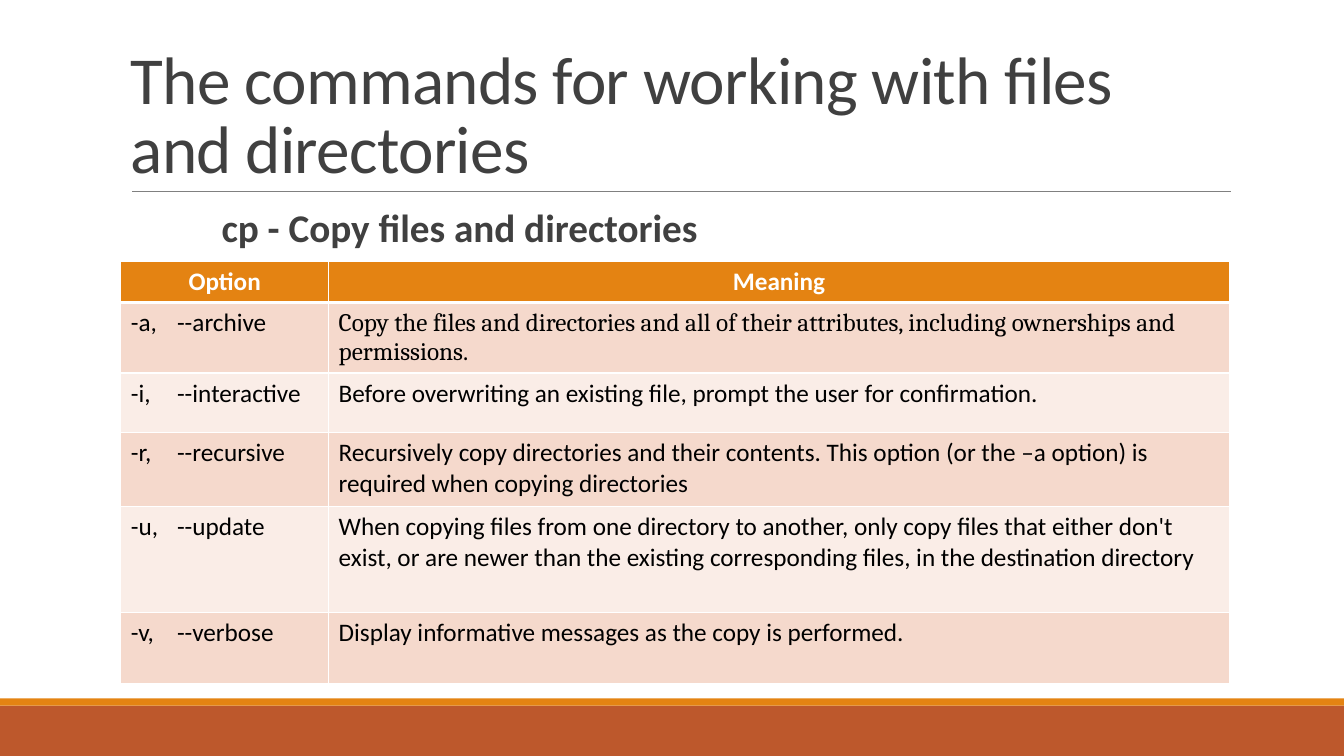
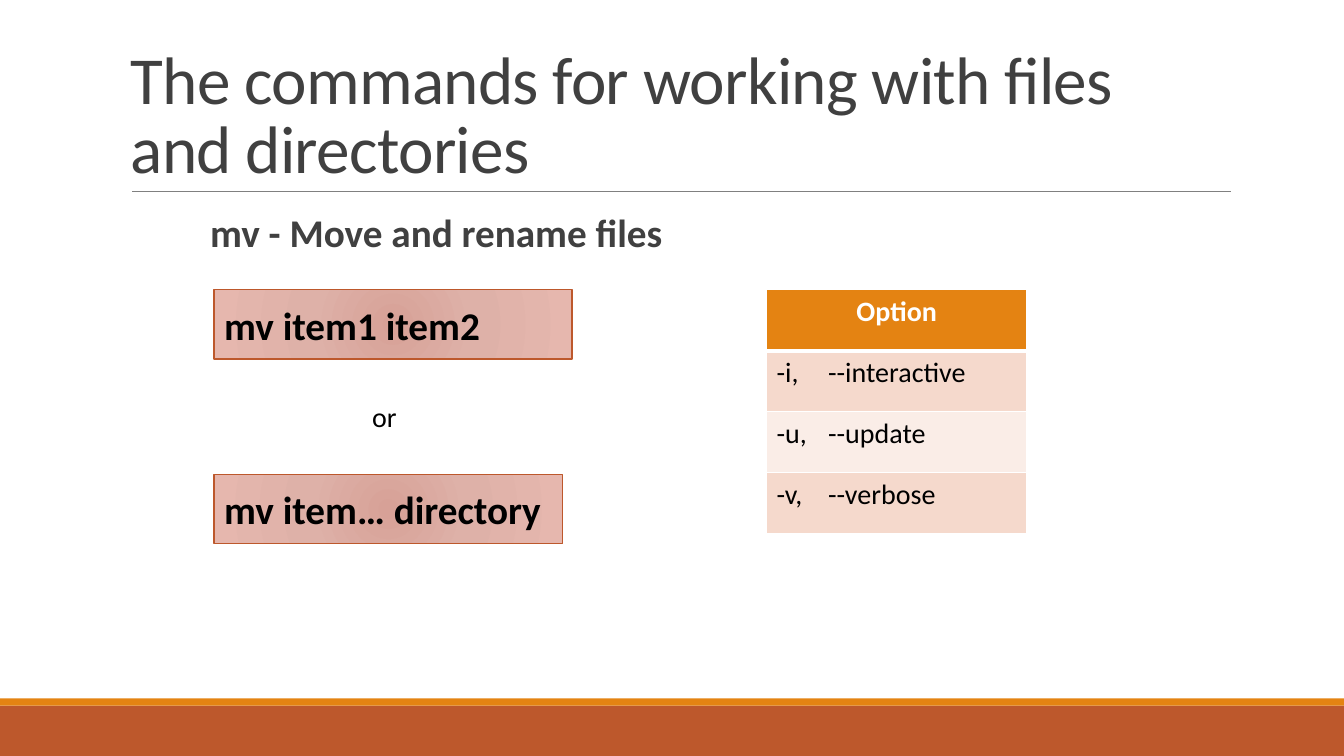
"""Build two slides on the cp and mv commands."""
from lxml.etree import SubElement
from pptx import Presentation
from pptx.dml.color import RGBColor as RGB
from pptx.enum.shapes import MSO_CONNECTOR as LINK, MSO_SHAPE as SHAPE
from pptx.enum.text import MSO_ANCHOR as ANCHOR, PP_ALIGN as ALIGN
from pptx.oxml import parse_xml
from pptx.oxml.ns import nsdecls, qn
from pptx.util import Pt

PX = 9525
FONT = "Calibri"
RUST = RGB(0xBD, 0x58, 0x2C)
AMBER = RGB(0xE4, 0x83, 0x12)
GRAY = RGB(0x80, 0x80, 0x80)
DARK = RGB(0x40, 0x40, 0x40)
BLACK = RGB(0, 0, 0)
WHITE = RGB(0xFF, 0xFF, 0xFF)
PEACH = RGB(0xF5, 0xD9, 0xCC)
PALE = RGB(0xFA, 0xED, 0xE7)
GLOW = [(0, "D7A197"), (45, "DEB1A8"), (100, "E6B7AE")]
TITLE = "The commands for working with files and directories"


def write(owner, text, size, color, bold=False, align=ALIGN.LEFT):
    frame = owner.text_frame
    frame.word_wrap = True
    para = frame.paragraphs[0]
    para.alignment = align
    para.add_run().text = text
    font = para.font
    font.name, font.size, font.bold = FONT, Pt(size), bold
    font.color.rgb = color
    return para


def place(*sides):
    return [side * PX for side in sides]


deck = Presentation()
deck.slide_width, deck.slide_height = place(1280, 720)

pages = [
    {
        "head": "cp - Copy files and directories",
        "body": (115, 194, 1056, 422),
        "at": (115, 249),
        "cols": [198, 858],
        "rows": [39, 66, 57, 70, 101, 68],
        "size": 18,
        "tab": 44,
        "cells": [
            ("Option", "Meaning"),
            ("-a,\t--archive", "Copy the files and directories and all of their "
             "attributes, including ownerships and permissions."),
            ("-i,\t--interactive", "Before overwriting an existing file, prompt "
             "the user for confirmation."),
            ("-r,\t--recursive", "Recursively copy directories and their contents. "
             "This option (or the –a option) is required when copying directories"),
            ("-u,\t--update", "When copying files from one directory to another, "
             "only copy files that either don't exist, or are newer than the "
             "existing corresponding files, in the destination directory"),
            ("-v,\t--verbose", "Display informative messages as the copy is "
             "performed."),
        ],
    },
    {
        "head": "mv - Move and rename files",
        "body": (104, 199, 1067, 417),
        "at": (730, 276),
        "cols": [248],
        "rows": [58] * 4,
        "size": 20,
        "tab": 49,
        "cells": [("Option",), ("-i,\t--interactive",), ("-u,\t--update",),
                  ("-v,\t--verbose",)],
    },
]

grids = []
for page in pages:
    slide = deck.slides.add_slide(deck.slide_layouts[6])
    shapes = slide.shapes

    for top, high, color in [(672, 48, RUST), (665, 7, AMBER)]:
        band = shapes.add_shape(SHAPE.RECTANGLE, *place(0, top, 1280, high))
        band.shadow.inherit = False
        band.fill.solid()
        band.fill.fore_color.rgb = color
        band.line.fill.background()

    rule = shapes.add_connector(LINK.STRAIGHT, *place(126, 182, 1172, 182))
    rule.line.color.rgb = GRAY
    rule.line.width = Pt(0.5)
    SubElement(rule._element.spPr, qn("a:effectLst"))

    title = shapes.add_textbox(*place(115, 32, 1056, 151))
    title.text_frame.vertical_anchor = ANCHOR.BOTTOM
    para = write(title, TITLE, 48, DARK)
    para.line_spacing = 0.85
    para.runs[0]._r.get_or_add_rPr().set("spc", "-50")

    body = shapes.add_textbox(*place(*page["body"]))
    body.text_frame.margin_left = body.text_frame.margin_right = 0
    para = write(body, page["head"], 28, DARK, True)
    para.line_spacing = 0.9
    para._p.get_or_add_pPr().set("marL", str(96 * PX))

    cols, rows = page["cols"], page["rows"]
    grid = shapes.add_table(len(rows), len(cols),
                            *place(*page["at"], sum(cols), sum(rows))).table
    grid.first_row = grid.horz_banding = False
    grids.append(grid)
    for col, wide in zip(grid.columns, cols):
        col.width = wide * PX
    for r, (row, high) in enumerate(zip(grid.rows, rows)):
        row.height = high * PX
        for cell, text in zip(row.cells, page["cells"][r]):
            if r == 0:
                write(cell, text, page["size"], WHITE, True, ALIGN.CENTER)
            else:
                para = write(cell, text, page["size"], BLACK)
                if "\t" in text:
                    tabs = parse_xml(
                        f'<a:tabLst {nsdecls("a")}>'
                        f'<a:tab pos="{page["tab"] * PX}" algn="l"/></a:tabLst>')
                    para._p.pPr.insert(0, tabs)
            thick = {0: "lnB", 1: "lnT"}.get(r)
            for side in ("lnL", "lnR", "lnT", "lnB"):
                width = Pt(3 if side == thick else 1)
                cell._tc.get_or_add_tcPr().append(parse_xml(
                    f'<a:{side} {nsdecls("a")} w="{width}"><a:solidFill>'
                    f'<a:srgbClr val="{WHITE}"/></a:solidFill></a:{side}>'))
            cell.fill.solid()
            cell.fill.fore_color.rgb = AMBER if r == 0 else PEACH if r % 2 else PALE

first = grids[0].cell(1, 1)
first.vertical_anchor = ANCHOR.MIDDLE
first.text_frame.paragraphs[0].font.name = "Cambria"

stops = "".join(f'<a:gs pos="{pos * 1000}"><a:srgbClr val="{color}"/></a:gs>'
                for pos, color in GLOW)
edges = " ".join(f'{side}="100000"' for side in "ltrb")
for text, top, wide in [("mv item1 item2", 276, 341),
                        ("mv item… directory", 452, 332)]:
    box = shapes.add_shape(SHAPE.RECTANGLE, *place(204, top, wide, 66))
    box.shadow.inherit = False
    box.line.color.rgb = RUST
    box.line.width = Pt(1)
    box._element.spPr.insert(2, parse_xml(
        f'<a:gradFill {nsdecls("a")}><a:gsLst>{stops}</a:gsLst>'
        f'<a:path path="circle"><a:fillToRect {edges}/></a:path></a:gradFill>'))
    box.text_frame.vertical_anchor = ANCHOR.MIDDLE
    write(box, text, 28, BLACK, True)

note = shapes.add_textbox(*place(345, 376, 538, 42))
write(note, "or", 20, BLACK)

deck.save("out.pptx")
